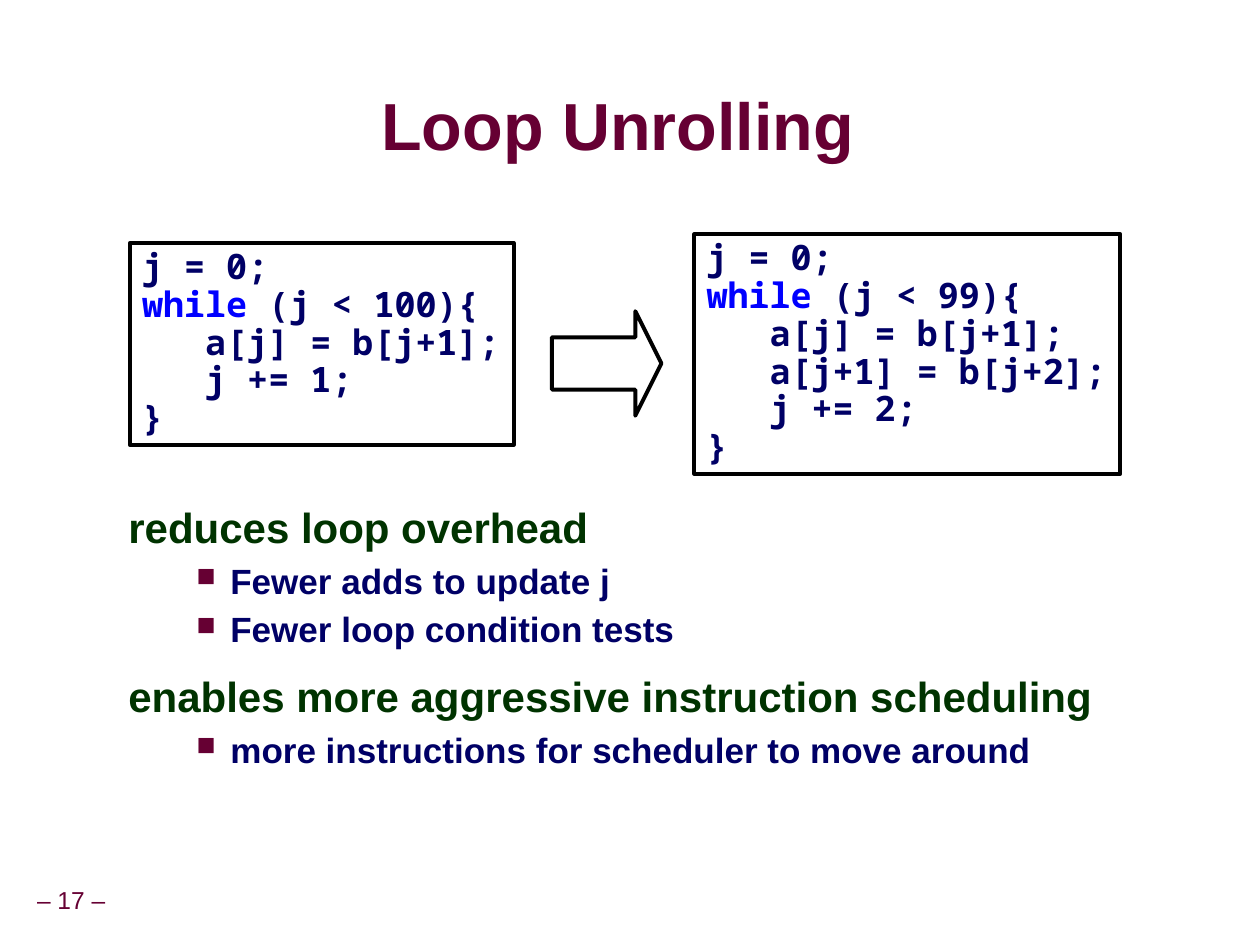
"""Build the Loop Unrolling slide with two code boxes and a bullet list."""
from lxml.etree import SubElement
from pptx import Presentation
from pptx.dml.color import RGBColor as Rgb
from pptx.enum.shapes import MSO_SHAPE as Shape
from pptx.enum.text import MSO_ANCHOR as Anchor, PP_ALIGN as Align
from pptx.oxml import parse_xml
from pptx.oxml.ns import qn
from pptx.util import Inches, Pt

TITLE = "Loop Unrolling"
PAGE = "– 17 –"
KEYWORD = "while"
LOOPS = [
    ((10.3, 19.3), ["j = 0;", "while (j < 100){", "   a[j] = b[j+1];", "   j += 1;", "}"]),
    ((55.1, 18.6), ["j = 0;", "while (j < 99){", "   a[j] = b[j+1];",
                    "   a[j+1] = b[j+2];", "   j += 2;", "}"]),
]
BENEFITS = [
    ("reduces loop overhead", ["Fewer adds to update j", "Fewer loop condition tests"]),
    ("enables more aggressive instruction scheduling",
     ["more instructions for scheduler to move around"]),
]

COLUMNS, ROWS = 100, 75
WIDTH, HEIGHT = Inches(10), Inches(7.5)
PLACES = {
    "page": (-0.9, 70, 13.1, 3.1),
    "title": (0, 6, 98.1, 8.5),
    "benefits": (9.2, 39.8, 82.5, 26.2),
    "arrow": (43.8, 24.7, 8.7, 8.3),
}
CODE_CELL = (1.675, 3)
CODE_PADDING = (2, 1)

THEME = {
    "title": {"name": "Arial", "size": Pt(38), "bold": True, "color": "660033"},
    "page": {"name": "Arial", "size": Pt(14), "bold": False, "color": "660033"},
    "benefit": {"name": "Arial", "size": Pt(24), "bold": True, "color": "003300"},
    "detail": {"name": "Arial", "size": Pt(20), "bold": True, "color": "000066"},
    "code": {"name": "Noto Sans Mono", "size": Pt(20), "bold": True, "color": "000066"},
    "keyword": {"name": "Noto Sans Mono", "size": Pt(20), "bold": True, "color": "0000FF"},
    "outline": "000000",
    "bullet": "660033",
}
INSETS = ("margin_left", "margin_top", "margin_right", "margin_bottom")
DRAWING = "http://schemas.openxmlformats.org/drawingml/2006/main"
TITLE_SHADOW = (
    f'<a:effectLst xmlns:a="{DRAWING}"><a:outerShdw dist="53882" dir="2700000">'
    '<a:srgbClr val="B2B2B2"/></a:outerShdw></a:effectLst>'
)


def apply(target, formats):
    for key, value in formats.items():
        setattr(target, key, value)


def on_grid(left, top, width, height):
    return (int(WIDTH * left / COLUMNS), int(HEIGHT * top / ROWS),
            int(WIDTH * width / COLUMNS), int(HEIGHT * height / ROWS))


def set_frame(frame, insets, anchor=Anchor.TOP, wrap=True):
    apply(frame, {"word_wrap": wrap, "vertical_anchor": anchor})
    apply(frame, {side: Inches(inset) for side, inset in zip(INSETS, insets)})
    return frame


def add_run(paragraph, text, style):
    run = paragraph.add_run()
    run.text = text
    formats = dict(THEME[style])
    run.font.color.rgb = Rgb.from_string(formats.pop("color"))
    apply(run.font, formats)
    return run


def add_line(frame, index, align=Align.LEFT, spacing=0.9, before=0):
    paragraph = frame.add_paragraph() if index else frame.paragraphs[0]
    apply(paragraph, {"alignment": align, "line_spacing": spacing,
                      "space_before": Pt(before if index else 0)})
    return paragraph


def indent(paragraph, margin, hanging, bullet=None):
    properties = paragraph._p.get_or_add_pPr()
    properties.set("marL", str(Inches(margin)))
    properties.set("indent", str(-Inches(hanging)))
    if bullet:
        color = SubElement(properties, qn("a:buClr"))
        SubElement(color, qn("a:srgbClr"), val=THEME["bullet"])
        SubElement(properties, qn("a:buSzPct"), val="75000")
        SubElement(properties, qn("a:buChar"), char=bullet)


def add_outlined(slide, kind, place):
    outlined = slide.shapes.add_shape(kind, *on_grid(*place))
    outlined.shadow.inherit = False
    outlined.fill.background()
    outlined.line.color.rgb = Rgb.from_string(THEME["outline"])
    outlined.line.width = Pt(2.25)
    return outlined


def add_heading(slide, part, text, inset, spacing, wrap):
    box = slide.shapes.add_textbox(*on_grid(*PLACES[part]))
    frame = set_frame(box.text_frame, [inset] * 4, Anchor.MIDDLE, wrap)
    return add_run(add_line(frame, 0, Align.CENTER, spacing), text, part)


def add_loop(slide, corner, lines):
    extent = (max(map(len, lines)), len(lines))
    size = [pad + cell * count for pad, cell, count in zip(CODE_PADDING, CODE_CELL, extent)]
    box = add_outlined(slide, Shape.RECTANGLE, (*corner, *size))
    frame = set_frame(box.text_frame, (0.1, 0.05, 0.1, 0.05), wrap=False)
    for index, line in enumerate(lines):
        paragraph = add_line(frame, index)
        before, keyword, after = line.partition(KEYWORD)
        for text, style in ((before, "code"), (keyword, "keyword"), (after, "code")):
            if text:
                add_run(paragraph, text, style)


def add_benefits(slide):
    box = slide.shapes.add_textbox(*on_grid(*PLACES["benefits"]))
    frame = set_frame(box.text_frame, (0.1, 0.05, 0.1, 0.05))
    for index, (benefit, details) in enumerate(BENEFITS):
        paragraph = add_line(frame, index, before=15)
        indent(paragraph, 0.42, 0.42)
        add_run(paragraph, benefit, "benefit")
        for detail in details:
            paragraph = add_line(frame, 1, before=6.2)
            paragraph.level = 1
            indent(paragraph, 0.81, 0.27, "■")
            add_run(paragraph, detail, "detail")


def main():
    deck = Presentation()
    apply(deck, {"slide_width": WIDTH, "slide_height": HEIGHT})
    slide = deck.slides.add_slide(deck.slide_layouts[6])
    add_heading(slide, "page", PAGE, 0.05, 0.9, False)
    title = add_heading(slide, "title", TITLE, 0, 0.87, True)
    title._r.rPr.find(qn("a:solidFill")).addnext(parse_xml(TITLE_SHADOW))
    add_benefits(slide)
    for corner, lines in LOOPS:
        add_loop(slide, corner, lines)
    arrow = add_outlined(slide, Shape.RIGHT_ARROW, PLACES["arrow"])
    arrow.adjustments[0], arrow.adjustments[1] = 0.5, 0.25
    deck.save("out.pptx")


if __name__ == "__main__":
    main()
